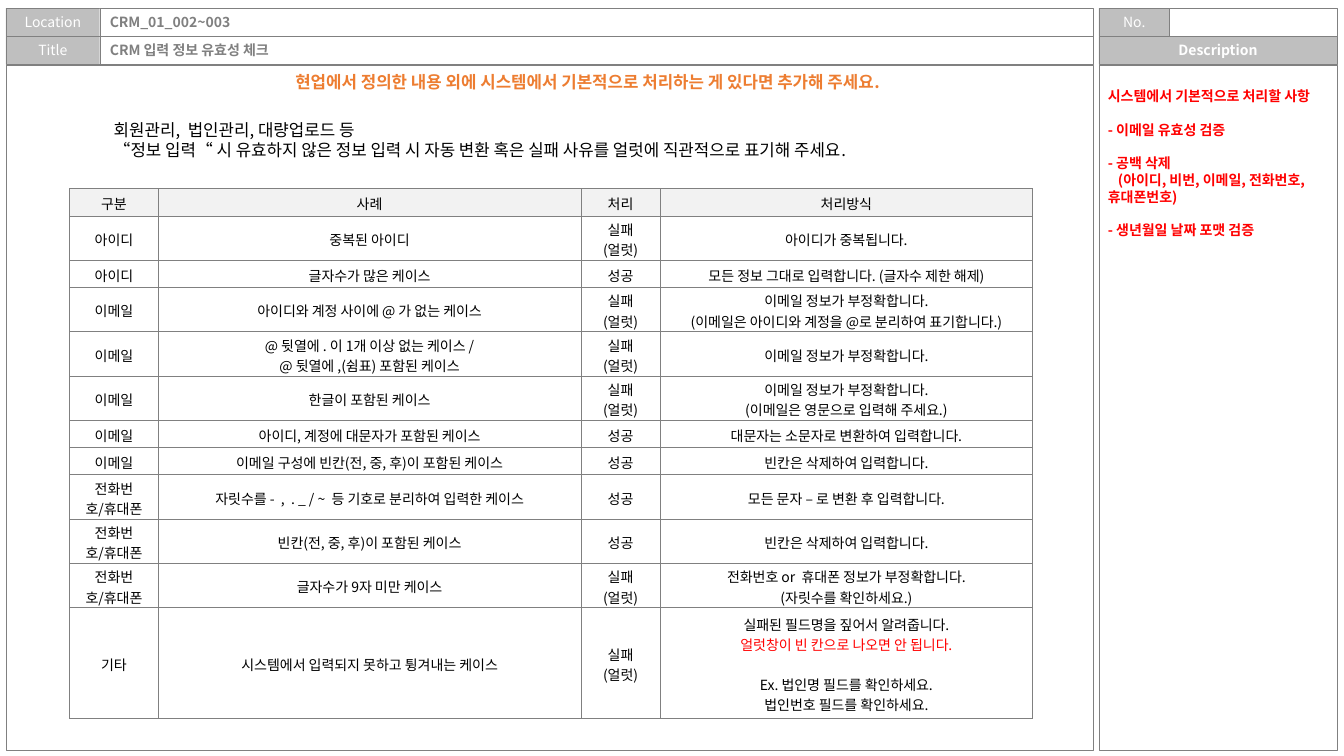
from lxml import etree
from pptx import Presentation
from pptx.dml.color import RGBColor
from pptx.enum.shapes import MSO_SHAPE
from pptx.enum.text import MSO_ANCHOR, MSO_AUTO_SIZE, PP_ALIGN
from pptx.oxml.ns import qn
from pptx.util import Inches, Pt

RECT = MSO_SHAPE.RECTANGLE
MIDDLE, TOP = MSO_ANCHOR.MIDDLE, MSO_ANCHOR.TOP
LEFT, CENTER = PP_ALIGN.LEFT, PP_ALIGN.CENTER
FIXED = MSO_AUTO_SIZE.NONE

FONT = "Noto Sans CJK KR"
COLORS = {
    "white": "FFFFFF", "black": "000000", "gray": "808080",
    "label": "BFBFBF", "head": "F2F2F2", "orange": "ED7D31", "red": "FF0000",
}
BORDER = 0.25
FAIL = "실패\n(얼럿)"
OK = "성공"
ID, MAIL, PHONE = "아이디", "이메일", "전화번호/휴대폰"
BAD_MAIL = "이메일 정보가 부정확합니다."
TRIM = "빈칸은 삭제하여 입력합니다."
WARN = "얼럿창이 빈 칸으로 나오면 안 됩니다."
SAMPLE = "Ex. 법인명 필드를 확인하세요."

WIDTHS = [0.88, 4.19, 0.79, 3.69]
ONE, TWO, LAST = 0.27, 0.44, 1.1
ROWS = [
    (ONE, "구분", "사례", "처리", "처리방식"),
    (TWO, ID, "중복된 아이디", FAIL, "아이디가 중복됩니다."),
    (ONE, ID, "글자수가 많은 케이스", OK,
     "모든 정보 그대로 입력합니다. (글자수 제한 해제)"),
    (TWO, MAIL, "아이디와 계정 사이에 @ 가 없는 케이스", FAIL,
     BAD_MAIL + "\n(이메일은 아이디와 계정을 @로 분리하여 표기합니다.)"),
    (TWO, MAIL, "@ 뒷열에 . 이 1개 이상 없는 케이스 /\n@ 뒷열에 ,(쉼표) 포함된 케이스",
     FAIL, BAD_MAIL),
    (TWO, MAIL, "한글이 포함된 케이스", FAIL,
     BAD_MAIL + "\n(이메일은 영문으로 입력해 주세요.)"),
    (ONE, MAIL, "아이디, 계정에 대문자가 포함된 케이스", OK,
     "대문자는 소문자로 변환하여 입력합니다."),
    (ONE, MAIL, "이메일 구성에 빈칸(전, 중, 후)이 포함된 케이스", OK, TRIM),
    (TWO, PHONE, "자릿수를 -  ,  . _ / ~  등 기호로 분리하여 입력한 케이스", OK,
     "모든 문자 – 로 변환 후 입력합니다."),
    (TWO, PHONE, "빈칸(전, 중, 후)이 포함된 케이스", OK, TRIM),
    (TWO, PHONE, "글자수가 9자 미만 케이스", FAIL,
     "전화번호 or  휴대폰 정보가 부정확합니다.\n(자릿수를 확인하세요.)"),
    (LAST, "기타", "시스템에서 입력되지 못하고 튕겨내는 케이스", FAIL,
     "\n".join(["실패된 필드명을 짚어서 알려줍니다.", WARN, SAMPLE,
                "법인번호 필드를 확인하세요."])),
]


def rgb(name):
    return RGBColor.from_string(COLORS[name])


def add_run(para, text, color, size=10, bold=False):
    run = para.add_run()
    run.text = text
    font = run.font
    font.size, font.bold, font.name = Pt(size), bold, FONT
    font.color.rgb = rgb(color)
    east = etree.SubElement(run._r.get_or_add_rPr(), qn("a:ea"))
    east.set("typeface", FONT)


def add_lines(frame, lines, color, size=10, bold=False, align=LEFT):
    paras = []
    for num, line in enumerate(lines):
        para = frame.add_paragraph() if num else frame.paragraphs[0]
        para.alignment = align
        for part, text in enumerate(line.split("\v")):
            if part:
                para.add_line_break()
            add_run(para, text, color, size, bold)
        paras.append(para)
    return paras


def set_frame(frame, anchor, top=0.0, right=0.1):
    frame.word_wrap = True
    frame.auto_size = FIXED
    frame.vertical_anchor = anchor
    frame.margin_left, frame.margin_right = Inches(0.1), Inches(right)
    frame.margin_top, frame.margin_bottom = Inches(top), 0


def style_box(shape, fill):
    shape.fill.solid()
    shape.fill.fore_color.rgb = rgb(fill)
    shape.line.color.rgb = rgb("gray")
    shape.line.width = Pt(BORDER)
    set_frame(shape.text_frame, MIDDLE)


def add_box(slide, place, fill, text="", color="white", bold=False, align=CENTER):
    box = slide.shapes.add_shape(RECT, *map(Inches, place))
    box.shadow.inherit = False
    style_box(box, fill)
    if text:
        add_lines(box.text_frame, [text], color, bold=bold, align=align)


def add_title(slide, place, text):
    title = slide.shapes.title
    title.left, title.top, title.width, title.height = map(Inches, place)
    style_box(title, "white")
    add_lines(title.text_frame, [text], "gray", bold=True)


def add_note(slide, place, lines, color, size=12, bold=False, top=0.05):
    box = slide.shapes.add_textbox(*map(Inches, place))
    set_frame(box.text_frame, TOP, top, 0)
    paras = add_lines(box.text_frame, lines, color, size, bold)
    for para in paras:
        para.line_spacing = Pt(size * 1.2)
    return paras


def add_edges(cell):
    props = cell._tc.get_or_add_tcPr()
    for num, side in enumerate("LRTB"):
        edge = etree.Element(qn("a:ln" + side), w=str(Pt(BORDER)))
        fill = etree.SubElement(edge, qn("a:solidFill"))
        etree.SubElement(fill, qn("a:srgbClr"), val=COLORS["gray"])
        props.insert(num, edge)


def fill_cell(cell, text, head):
    cell.vertical_anchor = MIDDLE
    cell.margin_top, cell.margin_bottom = Inches(0.03), 0
    if head:
        cell.fill.solid()
        cell.fill.fore_color.rgb = rgb("head")
    else:
        cell.fill.background()
    add_edges(cell)
    for para in add_lines(cell.text_frame, text.split("\n"), "black", align=CENTER):
        if para.text == WARN:
            para.runs[0].font.color.rgb = rgb("red")
        if para.text == SAMPLE:
            para.space_before = Pt(14.5)


def add_grid(slide, left, top):
    high = sum(row[0] for row in ROWS)
    frame = slide.shapes.add_table(
        len(ROWS), len(WIDTHS), Inches(left), Inches(top),
        Inches(sum(WIDTHS)), Inches(high))
    table = frame.table
    table.first_row = table.horz_banding = False
    for col, width in zip(table.columns, WIDTHS):
        col.width = Inches(width)
    for num, (height, *texts) in enumerate(ROWS):
        table.rows[num].height = Inches(height)
        for col, text in enumerate(texts):
            fill_cell(table.cell(num, col), text, num == 0)


def main():
    deck = Presentation()
    deck.slide_width, deck.slide_height = Inches(13.33), Inches(7.5)
    slide = deck.slides.add_slide(deck.slide_layouts[5])

    add_box(slide, (0.06, 0.65, 10.78, 6.79), "white")
    add_box(slide, (10.9, 0.65, 2.36, 6.79), "white")
    add_box(slide, (11.6, 0.08, 1.66, 0.28), "white")
    add_box(slide, (10.9, 0.36, 2.36, 0.28), "label", "Description", bold=True)
    add_box(slide, (0.06, 0.08, 0.93, 0.28), "label", "Location")
    add_box(slide, (0.06, 0.36, 0.93, 0.28), "label", "Title")
    add_box(slide, (10.9, 0.08, 0.7, 0.28), "label", "No.")
    add_box(slide, (0.99, 0.08, 9.85, 0.28), "white", "CRM_01_002~003",
            "gray", True, LEFT)
    add_title(slide, (0.99, 0.36, 9.85, 0.28), "CRM 입력 정보 유효성 체크")

    add_note(slide, (2.83, 0.66, 6.69, 0.3),
             ["현업에서 정의한 내용 외에 시스템에서 기본적으로 처리하는 게 있다면 추가해 주세요."],
             "orange", bold=True)
    add_note(slide, (1.03, 1.14, 8.16, 0.5),
             ["회원관리,  법인관리, 대량업로드 등",
              "“정보 입력“ 시 유효하지 않은 정보 입력 시 자동 변환 혹은 실패 사유를 얼럿에 직관적으로 표기해 주세요."],
             "black")
    add_grid(slide, 0.69, 1.87)

    rules = add_note(slide, (10.89, 0.65, 2.44, 1.95),
                     ["시스템에서 기본적으로 처리할 사항", "- 이메일 유효성 검증", "- 공백 삭제",
                      "(아이디, 비번, 이메일, 전화번호,\v휴대폰번호)",
                      "- 생년월일 날짜 포맷 검증"],
                     "red", 10, True, 0.22)
    for rule in rules:
        if rule.text.startswith("-"):
            rule.space_before = Pt(12)
        if rule.text.startswith("("):
            rule._p.get_or_add_pPr().set("indent", str(Inches(0.1)))
    deck.save("out.pptx")


if __name__ == "__main__":
    main()
